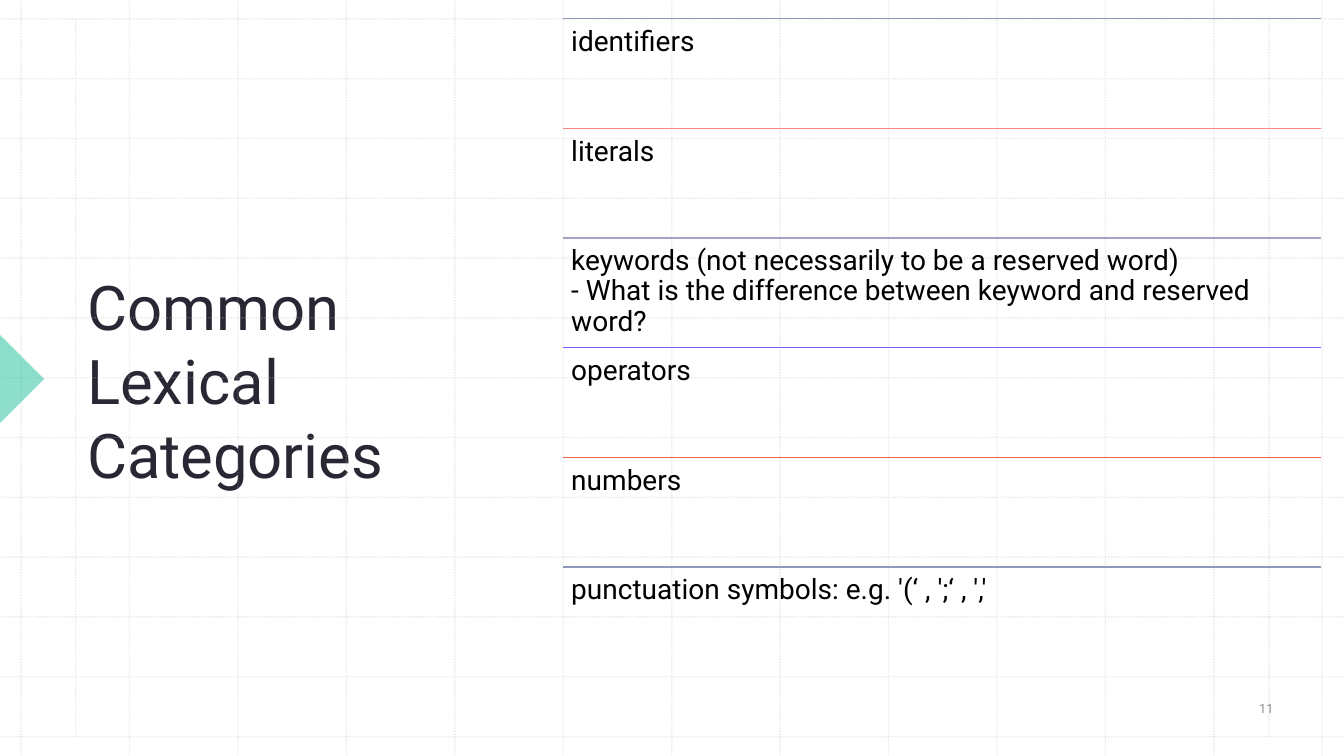
from dataclasses import dataclass

from pptx import Presentation
from pptx import util as u
from pptx.dml.color import RGBColor
from pptx.enum import dml, shapes, text
from pptx.oxml.ns import qn
from lxml import etree


@dataclass(frozen=True)
class Theme:
    """Colours, font and type sizes of the slide."""
    font: str = "Roboto"
    title_size: int = 44
    entry_size: int = 20
    number_size: int = 9
    title: str = "2A2735"
    entry: str = "000000"
    number: str = "8C8C8C"
    grid: str = "BCBCBC"
    marker: str = "1EBE9B"


class SlideBuilder:
    """Draws themed elements on one slide, with lengths in points."""

    def __init__(self, slide, theme):
        """Keep the slide and its theme."""
        self.slide = slide
        self.theme = theme

    def fade(self, element, percent):
        """Set the opacity of the colour in an element."""
        colour = next(element.iter(qn("a:srgbClr")))
        etree.SubElement(colour, qn("a:alpha"), val=str(percent * 1000))

    def rule(self, x1, y1, x2, y2, colour):
        """Draw a straight line one point wide."""
        line = self.slide.shapes.add_connector(
            shapes.MSO_CONNECTOR.STRAIGHT, u.Pt(x1), u.Pt(y1), u.Pt(x2), u.Pt(y2))
        line.line.width = u.Pt(1)
        line.line.color.rgb = RGBColor.from_string(colour)
        etree.SubElement(line._element.spPr, qn("a:effectLst"))
        return line

    def grid_line(self, x1, y1, x2, y2):
        """Draw a faint dotted line."""
        line = self.rule(x1, y1, x2, y2, self.theme.grid)
        line.line.dash_style = dml.MSO_LINE.ROUND_DOT
        self.fade(line._element.spPr, 30)

    def marker(self, left, top, side):
        """Draw the half-transparent triangle at the slide edge."""
        triangle = self.slide.shapes.add_shape(
            shapes.MSO_SHAPE.RIGHT_TRIANGLE, u.Pt(left), u.Pt(top), u.Pt(side), u.Pt(side))
        triangle.rotation = 225
        triangle.shadow.inherit = False
        triangle.line.fill.background()
        triangle.fill.solid()
        triangle.fill.fore_color.rgb = RGBColor.from_string(self.theme.marker)
        self.fade(triangle._element.spPr, 50)

    def fill_text(self, shape, wording, size, colour, align, anchor):
        """Fill a shape with one formatted paragraph."""
        frame = shape.text_frame
        frame.text = wording
        frame.word_wrap = True
        frame.auto_size = text.MSO_AUTO_SIZE.NONE
        frame.vertical_anchor = anchor
        paragraph = frame.paragraphs[0]
        paragraph.alignment = align
        for run in paragraph.runs:
            run.font.name = self.theme.font
            run.font.size = u.Pt(size)
            run.font.color.rgb = RGBColor.from_string(colour)
        return frame

    def title(self, wording, left, top, width, height):
        """Move and fill the title placeholder."""
        heading = self.slide.shapes.title
        heading.left, heading.top = u.Pt(left), u.Pt(top)
        heading.width, heading.height = u.Pt(width), u.Pt(height)
        self.fill_text(heading, wording, self.theme.title_size, self.theme.title,
                       text.PP_ALIGN.LEFT, text.MSO_ANCHOR.MIDDLE)

    def entry(self, wording, colour, left, top, width, height):
        """Draw one category under its coloured rule."""
        self.rule(left, top, left + width, top, colour)
        box = self.slide.shapes.add_textbox(u.Pt(left), u.Pt(top), u.Pt(width), u.Pt(height))
        frame = self.fill_text(box, wording, self.theme.entry_size, self.theme.entry,
                               text.PP_ALIGN.LEFT, text.MSO_ANCHOR.TOP)
        frame.margin_left = frame.margin_right = u.Pt(6)
        frame.margin_top = frame.margin_bottom = u.Pt(6)
        frame.paragraphs[0].line_spacing = 0.9

    def page_number(self, number, left, top, width, height):
        """Place the page number."""
        box = self.slide.shapes.add_textbox(u.Pt(left), u.Pt(top), u.Pt(width), u.Pt(height))
        frame = self.fill_text(box, number, self.theme.number_size, self.theme.number,
                               text.PP_ALIGN.CENTER, text.MSO_ANCHOR.MIDDLE)
        frame.paragraphs[0].space_after = u.Pt(6)


CATEGORIES = [
    ("identifiers", "8F99BB"),
    ("literals", "FD8686"),
    ("keywords (not necessarily to be a reserved word)\v"
     "- What is the difference between keyword and reserved word?", "A3A3C1"),
    ("operators", "7162FE"),
    ("numbers", "E76445"),
    ("punctuation symbols: e.g. '(‘ , ';‘ , ','", "8F99BB"),
]


def main():
    """Build and save the slide."""
    width, height = 960, 540
    deck = Presentation()
    deck.slide_width, deck.slide_height = u.Pt(width), u.Pt(height)
    builder = SlideBuilder(deck.slides.add_slide(deck.slide_layouts[5]), Theme())

    grid_top, row_step, column_step, count = 13.5, 42.72, 77.45, 13
    for index in range(count):
        column = 15.1 + index * column_step
        row = grid_top + index * row_step
        builder.grid_line(column, 0, column, height)
        builder.grid_line(0, row, width, row)
    for margin in (54, 906.5):
        builder.grid_line(margin, grid_top, margin, grid_top + (count - 1) * row_step)

    builder.marker(-22.3, 248.4, 44.6)
    builder.title("Common Lexical Categories", 55, 57, 270, 428.5)
    builder.page_number("11", 866, 489.5, 77, 33)

    entry_height = 78.35
    for index, (wording, colour) in enumerate(CATEGORIES):
        builder.entry(wording, colour, 402, 13.4 + index * entry_height, 541.5, entry_height)

    deck.save("out.pptx")


if __name__ == "__main__":
    main()
